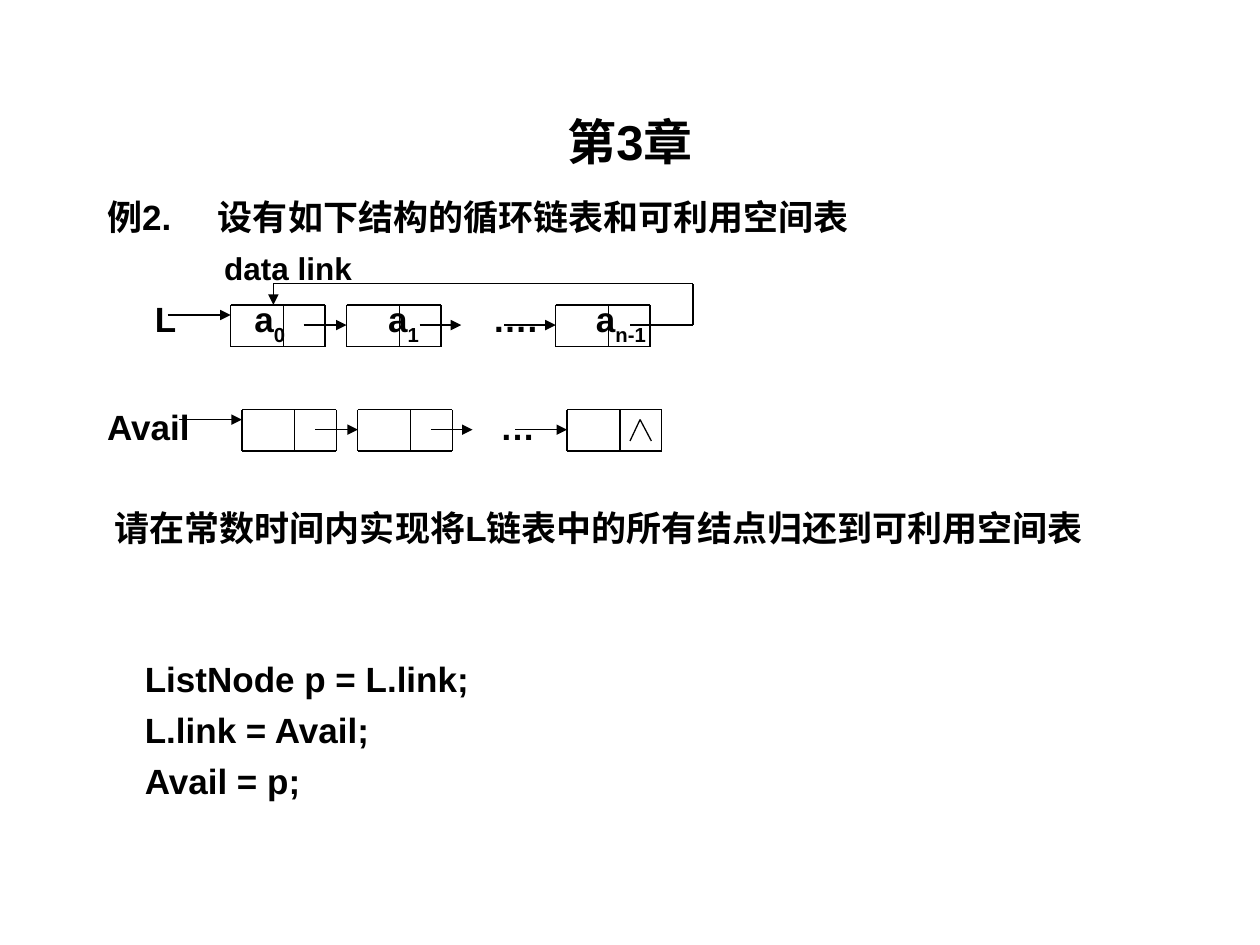
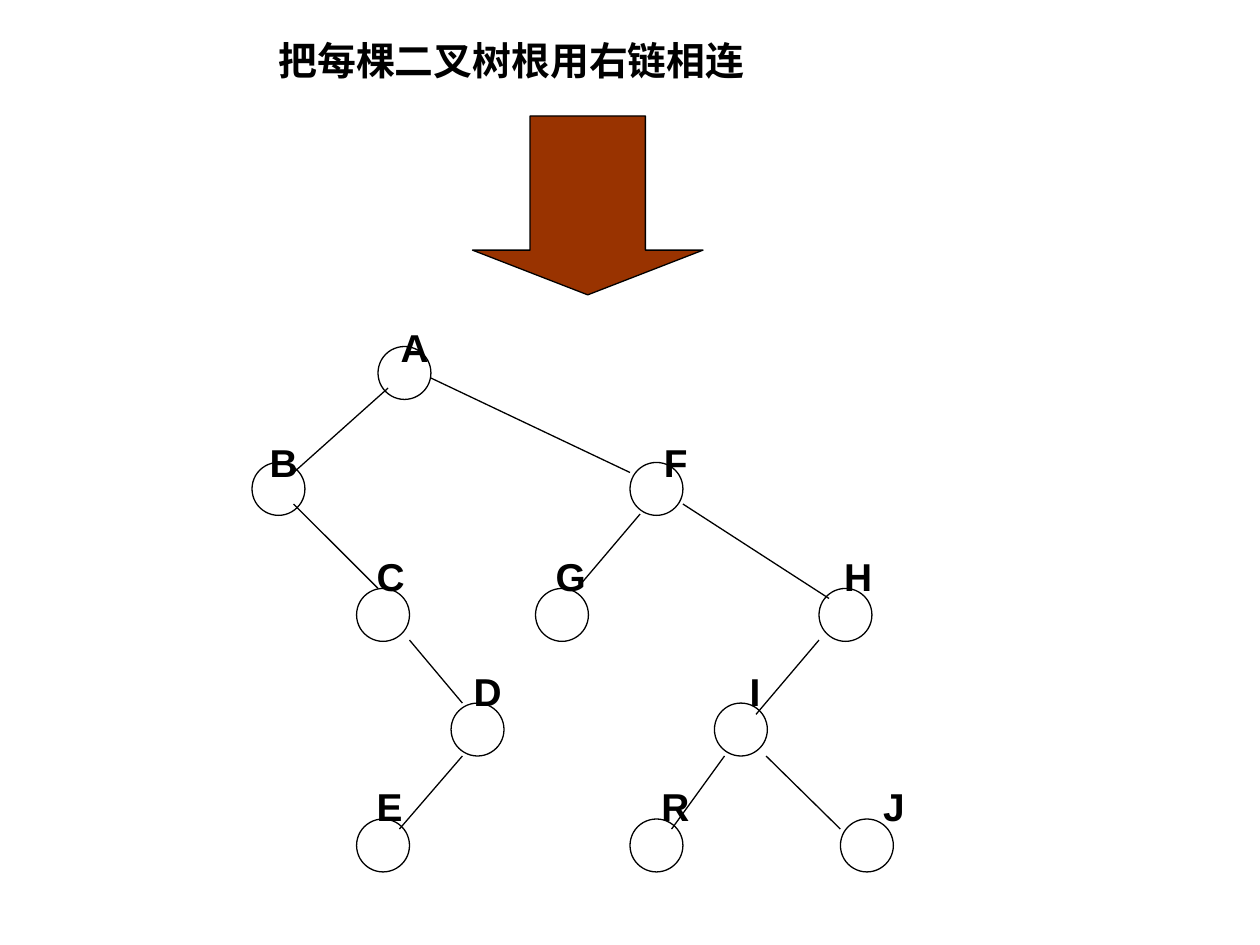
from pptx import Presentation
from pptx.dml.color import RGBColor
from pptx.enum.shapes import MSO_CONNECTOR, MSO_SHAPE
from pptx.enum.text import MSO_ANCHOR, PP_ALIGN
from pptx.oxml.ns import qn
from pptx.util import Inches, Pt
from lxml.etree import SubElement

FONT = "Arial"
BLACK = "000000"
BROWN = "993300"
LINE_WIDTH = 0.75
BODY_SIZE = 20
TREE_SIZE = 22.2
CAPITAL_MIDDLE = 0.65  # from the top of a line to mid-capital, in ems

# Linked lists: all distances are measured from the first node
NODE_OFFSETS = (0, 0.92, 2.58)
NODE_WIDTH, NODE_HEIGHT, DATA_WIDTH = 0.75, 0.33, 0.42
LINK_MIDDLE = 0.16

# Tree: circle tops by level, then letter: (level, circle left, letter left)
LEVEL_TOPS = (2.75, 3.67, 4.67, 5.58, 6.5)
LETTER_TOP, LETTER_STEP = 2.77, 0.91
CIRCLE = 0.42
TREE_NODES = {
    "A": (0, 3, 3.18),
    "B": (1, 2, 2.14),
    "F": (1, 5, 5.27),
    "C": (2, 2.83, 2.99),
    "G": (2, 4.25, 4.41),
    "H": (2, 6.5, 6.7),
    "D": (3, 3.58, 3.76),
    "I": (3, 5.67, 5.95),
    "E": (4, 2.83, 2.99),
    "R": (4, 5, 5.25),
    "J": (4, 6.67, 7.01),
}
TREE_EDGES = (
    (3.08, 3.08, 2.33, 3.75),  # A-B
    (2.33, 4, 3, 4.67),  # B-C
    (3.42, 3, 5, 3.75),  # A-F
    (5.42, 4, 6.58, 4.75),  # F-H
    (5.08, 4.08, 4.58, 4.67),  # F-G
    (5.75, 6, 5.33, 6.58),  # I-R
    (3.67, 6, 3.17, 6.58),  # D-E
    (6.08, 6, 6.67, 6.58),  # I-J
    (6.5, 5.08, 6, 5.67),  # H-I
    (3.25, 5.08, 3.67, 5.58),  # C-D
)


def color(hex_string):
    return RGBColor.from_string(hex_string)


def format_run(run, size):
    run.font.name = FONT
    run.font.size = Pt(size)
    run.font.bold = True
    run.font.color.rgb = color(BLACK)


def add_label(slide, text, left, middle, width=1, height=0.4, size=BODY_SIZE, subscript=""):
    """Put one line of text with its capitals centred on the height `middle`."""
    top = middle - CAPITAL_MIDDLE * size / 72
    box = slide.shapes.add_textbox(Inches(left), Inches(top), Inches(width), Inches(height))
    frame = box.text_frame
    frame.word_wrap = True
    frame.margin_left = frame.margin_right = 0
    frame.margin_top = frame.margin_bottom = 0
    frame.text = text
    paragraph = frame.paragraphs[0]
    if subscript:
        lowered = paragraph.add_run()
        lowered.text = subscript
        lowered._r.get_or_add_rPr().set("baseline", "-30000")
    for run in paragraph.runs:
        format_run(run, size)
    return frame


def add_title(slide, text):
    box = slide.shapes.add_textbox(Inches(0.75), Inches(0.66), Inches(8.5), Inches(0.92))
    frame = box.text_frame
    frame.word_wrap = True
    frame.vertical_anchor = MSO_ANCHOR.MIDDLE
    frame.text = text
    frame.paragraphs[0].alignment = PP_ALIGN.CENTER
    format_run(frame.paragraphs[0].runs[0], 28)


def add_code(slide, lines, left, middle):
    frame = add_label(slide, lines[0], left, middle, width=4, height=1.3)
    for line in lines[1:]:
        paragraph = frame.add_paragraph()
        paragraph.text = line
        paragraph.space_before = Pt(5)
        format_run(paragraph.runs[0], BODY_SIZE)


def add_line(slide, x1, y1, x2, y2, arrow=False):
    line = slide.shapes.add_connector(
        MSO_CONNECTOR.STRAIGHT, Inches(x1), Inches(y1), Inches(x2), Inches(y2))
    line.line.color.rgb = color(BLACK)
    line.line.width = Pt(LINE_WIDTH)
    properties = line._element.spPr
    if arrow:
        SubElement(properties.find(qn("a:ln")), qn("a:tailEnd"), type="triangle")
    SubElement(properties, qn("a:effectLst"))


def add_preset(slide, preset, left, top, width, height, fill=None):
    shape = slide.shapes.add_shape(
        preset, Inches(left), Inches(top), Inches(width), Inches(height))
    shape.shadow.inherit = False
    if fill:
        shape.fill.solid()
        shape.fill.fore_color.rgb = color(fill)
    else:
        shape.fill.background()
    shape.line.color.rgb = color(BLACK)
    shape.line.width = Pt(LINE_WIDTH)
    return shape


def add_list_node(slide, left, top):
    right, bottom = left + NODE_WIDTH, top + NODE_HEIGHT
    for y in (top, bottom):
        add_line(slide, left, y, right, y)
    for x in (left, left + DATA_WIDTH, right):
        add_line(slide, x, top, x, bottom)


def add_linked_list(slide, left, top):
    """Draw the three nodes, the head pointer and the links between nodes."""
    for offset in NODE_OFFSETS:
        add_list_node(slide, left + offset, top)
    add_line(slide, left - 0.5, top + 0.08, left, top + 0.08, arrow=True)
    y = top + LINK_MIDDLE
    for start, end in ((0.58, 0.92), (1.5, 1.83), (2.17, 2.58)):
        add_line(slide, left + start, y, left + end, y, arrow=True)


def build_list_slide(slide):
    add_title(slide, "第3章")
    add_label(slide, "例2.", 0.85, 1.73, width=0.8)
    add_label(slide, "设有如下结构的循环链表和可利用空间表", 1.73, 1.73, width=6)
    add_label(slide, "data link", 1.78, 2.14, width=1.5, size=18)

    circular_row, avail_row = 2.54, 3.4
    add_label(slide, "L", 1.23, circular_row, width=0.4)
    for left, index in ((2.02, "0"), (3.08, "1"), (4.73, "n-1")):
        add_label(slide, "a", left, circular_row, subscript=index)
    add_label(slide, "….", 3.91, circular_row)
    add_label(slide, "Avail", 0.85, avail_row)
    add_label(slide, "…", 3.97, avail_row)
    add_label(slide, "请在常数时间内实现将L链表中的所有结点归还到可利用空间表", 0.91, 4.2, width=8.5)
    add_code(slide, ("ListNode p = L.link;", "L.link = Avail;", "Avail = p;"), 1.15, 5.4)

    add_linked_list(slide, 1.83, 2.42)
    add_linked_list(slide, 1.92, 3.25)
    for foot in (5, 5.17):  # null link
        add_line(slide, 5.08, 3.33, foot, 3.5)

    # Link from the last node back to the first
    add_line(slide, 5, 2.58, 5.5, 2.58)
    add_line(slide, 5.5, 2.58, 5.5, 2.25)
    add_line(slide, 2.17, 2.25, 5.5, 2.25)
    add_line(slide, 2.17, 2.25, 2.17, 2.42, arrow=True)


def build_tree_slide(slide):
    add_label(slide, "把每棵二叉树根用右链相连", 2.21, 0.49, width=5, size=TREE_SIZE)
    for letter, (level, circle_left, letter_left) in TREE_NODES.items():
        middle = LETTER_TOP + level * LETTER_STEP
        add_label(slide, letter, letter_left, middle, width=0.4, size=TREE_SIZE)
        add_preset(slide, MSO_SHAPE.OVAL, circle_left, LEVEL_TOPS[level], CIRCLE, CIRCLE)
    for edge in TREE_EDGES:
        add_line(slide, *edge)
    arrow = add_preset(slide, MSO_SHAPE.DOWN_ARROW, 3.75, 0.92, 1.83, 1.42, BROWN)
    arrow.adjustments[0] = 0.5
    arrow.adjustments[1] = 0.25


def main():
    presentation = Presentation()
    presentation.slide_width = Inches(10)
    presentation.slide_height = Inches(7.5)
    blank = presentation.slide_layouts[6]
    for build in (build_list_slide, build_tree_slide):
        build(presentation.slides.add_slide(blank))
    presentation.save("out.pptx")


if __name__ == "__main__":
    main()
